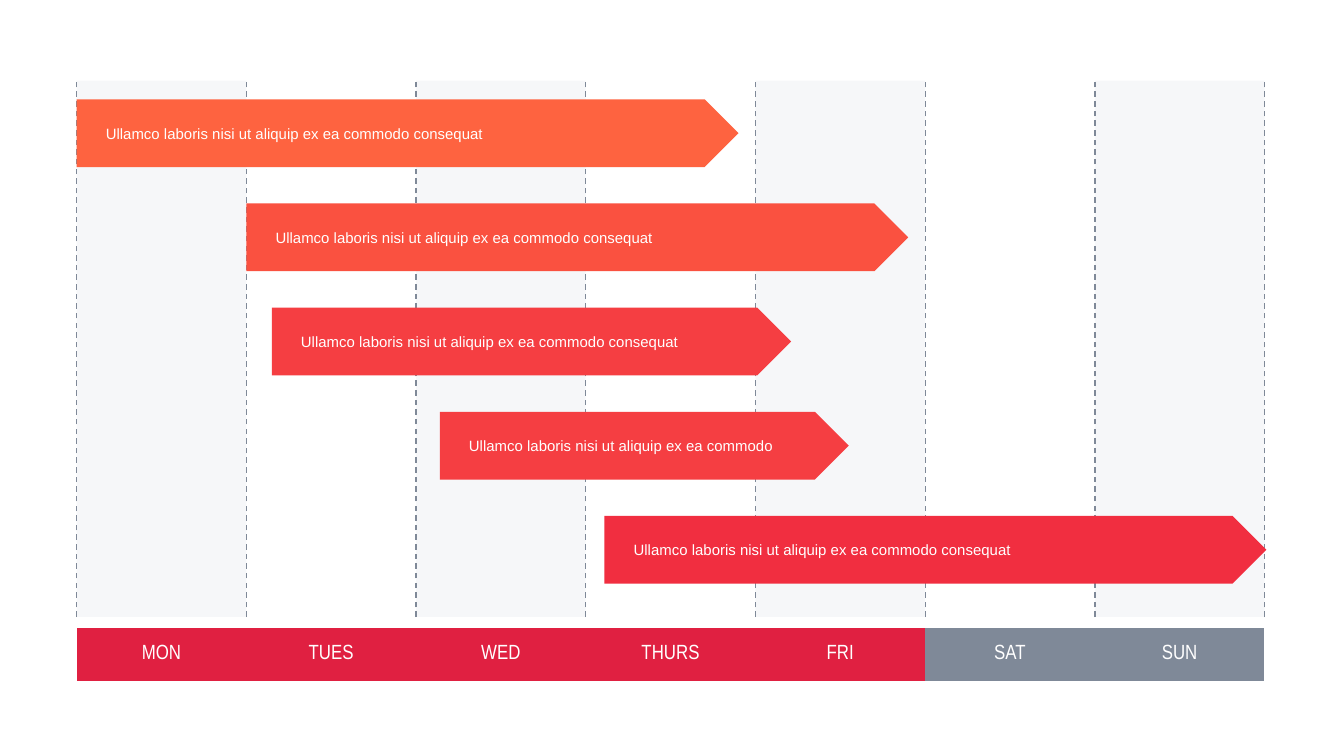
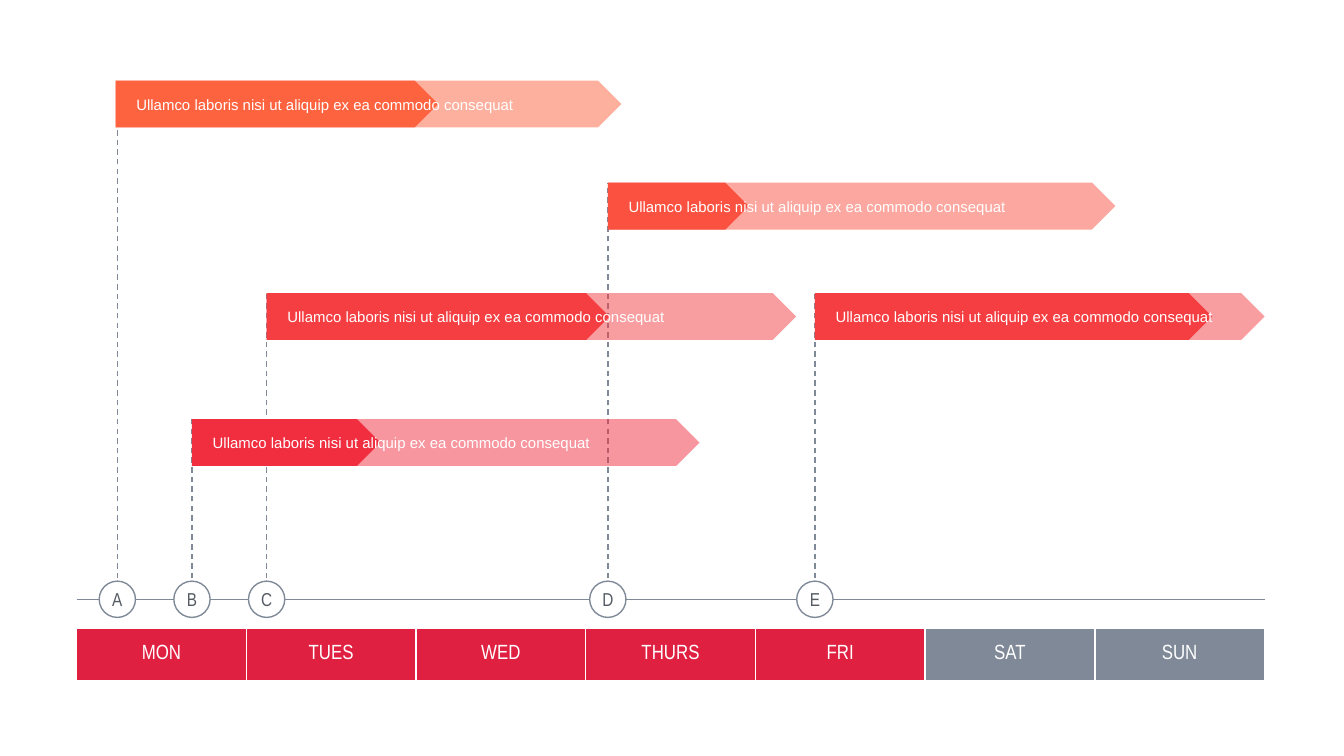
from dataclasses import dataclass

from lxml.etree import SubElement
from pptx import Presentation
from pptx.dml.color import RGBColor as RGB
from pptx.enum.dml import MSO_LINE as Dash
from pptx.enum.shapes import MSO_CONNECTOR as Link, MSO_SHAPE as Shape
from pptx.enum.text import MSO_ANCHOR as Anchor, PP_ALIGN as Align
from pptx.oxml.ns import qn
from pptx.util import Inches, Pt


@dataclass(frozen=True)
class Theme:
    paper: str = "FFFFFF"
    stripe: str = "EEF0F4"
    rule: str = "7F8998"
    letter: str = "545B63"
    workday: str = "E02041"
    weekend: str = "7F8998"
    orange: str = "FE6340"
    coral: str = "FA5140"
    red: str = "F53E42"
    crimson: str = "F12E40"
    body_font: str = "Arial"
    head_font: str = "Arial Narrow"
    task_size: float = 8
    marker_size: float = 10
    day_size: float = 11
    rule_width: float = 0.75
    border_width: float = 1
    plain_table: str = "{2D5ABB26-0587-4C30-8999-92F81FD0307C}"


THEME = Theme()
WIDTH, HEIGHT = 10, 5.625
LEFT, RIGHT, TOP = 0.57, 9.41, 0.6
DAYS = ["MON", "TUES", "WED", "THURS", "FRI", "SAT", "SUN"]
WORKDAYS = 5
COL = (RIGHT - LEFT) / len(DAYS)
ROW = 0.775
PLOT_ROWS = 5.15
HEADER_ROW = 5.26
HEADER_ROWS = 0.5
AXIS_ROW = 4.98
MARKER = 0.27
LABEL_COLS, LABEL_ROWS = 2.46, 0.23
TASK = "Ullamco laboris nisi ut aliquip ex ea commodo consequat"
SHORT_TASK = "Ullamco laboris nisi ut aliquip ex ea commodo"


def cols(count):
    return Inches(count * COL)


def rows(count):
    return Inches(count * ROW)


def x_at(day):
    return Inches(LEFT) + cols(day)


def y_at(row):
    return Inches(TOP) + rows(row)


def write(frame, text, *, size, color, font=THEME.body_font, align=Align.LEFT,
          wrap=True, inset=(0.04, 0.02)):
    frame.word_wrap = wrap
    frame.vertical_anchor = Anchor.MIDDLE
    frame.margin_left = frame.margin_right = Inches(inset[0])
    frame.margin_top = frame.margin_bottom = Inches(inset[1])
    paragraph = frame.paragraphs[0]
    paragraph.alignment = align
    run = paragraph.add_run()
    run.text = text
    run.font.size = Pt(size)
    run.font.name = font
    run.font.color.rgb = RGB.from_string(color)


class WeekChart:
    def __init__(self, deck, theme=THEME):
        self.theme = theme
        self.slide = deck.slides.add_slide(deck.slide_layouts[6])
        self.shapes = self.slide.shapes

    def block(self, kind, left, top, width, height, color, alpha=None,
              outline=None, parent=None):
        owner = self.shapes if parent is None else parent
        block = owner.add_shape(kind, left, top, width, height)
        block.shadow.inherit = False
        block.fill.solid()
        block.fill.fore_color.rgb = RGB.from_string(color)
        if alpha is not None:
            tint = block._element.spPr.find(f"{qn('a:solidFill')}/{qn('a:srgbClr')}")
            SubElement(tint, qn("a:alpha")).set("val", str(alpha * 1000))
        if outline:
            block.line.color.rgb = RGB.from_string(outline)
            block.line.width = Pt(self.theme.rule_width)
        else:
            block.line.fill.background()
        return block

    def rule(self, start, end, dashed=True):
        rule = self.shapes.add_connector(
            Link.STRAIGHT, x_at(start[0]), y_at(start[1]), x_at(end[0]), y_at(end[1]))
        rule.line.color.rgb = RGB.from_string(self.theme.rule)
        rule.line.width = Pt(self.theme.rule_width)
        if dashed:
            rule.line.dash_style = Dash.DASH
        SubElement(rule._element.spPr, qn("a:effectLst"))

    def stripe(self, day):
        self.block(Shape.RECTANGLE, x_at(day), y_at(0), cols(1), rows(PLOT_ROWS),
                   self.theme.stripe, alpha=50)

    def task(self, day, row, span, depth, color, text=TASK, indent=0.09, done=None):
        group = self.shapes.add_group_shape().shapes
        layers = [(span, None)] if done is None else [(span, 50), (done, None)]
        for length, alpha in layers:
            self.block(Shape.PENTAGON, x_at(day), y_at(row), cols(length),
                       rows(depth), color, alpha=alpha, parent=group)
        label = group.add_textbox(
            x_at(day + indent), y_at(row + (depth - LABEL_ROWS) / 2),
            cols(LABEL_COLS), rows(LABEL_ROWS))
        write(label.text_frame, text, size=self.theme.task_size, color=self.theme.paper)

    def marker(self, letter, day):
        size = Inches(MARKER)
        marker = self.block(Shape.OVAL, x_at(day) - size // 2, y_at(AXIS_ROW) - size // 2,
                            size, size, self.theme.paper, outline=self.theme.rule)
        write(marker.text_frame, letter, size=self.theme.marker_size,
              color=self.theme.letter, font=self.theme.head_font,
              align=Align.CENTER, wrap=False, inset=(0, 0))

    def border(self, cell):
        properties = cell._tc.get_or_add_tcPr()
        for side in ("lnL", "lnR", "lnT", "lnB"):
            edge = SubElement(properties, qn(f"a:{side}"))
            edge.set("w", str(Pt(self.theme.border_width)))
            paint = SubElement(edge, qn("a:solidFill"))
            SubElement(paint, qn("a:srgbClr")).set("val", self.theme.paper)

    def week(self, bordered=False):
        table = self.shapes.add_table(
            1, len(DAYS), x_at(0), y_at(HEADER_ROW), cols(len(DAYS)),
            rows(HEADER_ROWS)).table
        table.first_row = table.horz_banding = False
        table._tbl.tblPr.find(qn("a:tableStyleId")).text = self.theme.plain_table
        for index, day in enumerate(DAYS):
            table.columns[index].width = cols(1)
            cell = table.cell(0, index)
            if bordered:
                self.border(cell)
            cell.fill.solid()
            cell.fill.fore_color.rgb = RGB.from_string(
                self.theme.workday if index < WORKDAYS else self.theme.weekend)
            cell.vertical_anchor = Anchor.MIDDLE
            cell.margin_left = cell.margin_right = Inches(0.04)
            cell.margin_top = cell.margin_bottom = Inches(0.02)
            write(cell.text_frame, day, size=self.theme.day_size,
                  color=self.theme.paper, font=self.theme.head_font, align=Align.CENTER)


def build_schedule(deck):
    chart = WeekChart(deck)
    for day in range(0, len(DAYS), 2):
        chart.stripe(day)
    chart.week()
    for day in range(len(DAYS) + 1):
        chart.rule((day, PLOT_ROWS), (day, 0))
    tasks = [
        (0, 3.9, THEME.orange, TASK),
        (1, 3.9, THEME.coral, TASK),
        (1.15, 3.06, THEME.red, TASK),
        (2.14, 2.41, THEME.red, SHORT_TASK),
        (3.11, 3.9, THEME.crimson, TASK),
    ]
    for row, (day, span, color, text) in enumerate(tasks):
        chart.task(day, row + 0.18, span, 0.65, color, text, indent=0.14)


def build_progress(deck):
    chart = WeekChart(deck)
    chart.rule((0, AXIS_ROW), (len(DAYS), AXIS_ROW), dashed=False)
    tasks = [
        ("D", 3.13, 3.13, 0.98, 2.99, 0.83, THEME.coral),
        ("A", 0.24, 0.23, 0, 2.98, 1.9, THEME.orange),
        ("C", 1.12, 1.12, 2.04, 3.12, 2.02, THEME.red),
        ("E", 4.35, 4.35, 2.04, 2.65, 2.34, THEME.red),
        ("B", 0.68, 0.68, 3.25, 2.99, 1.11, THEME.crimson),
    ]
    for letter, day, _, row, *_ in tasks:
        chart.rule((day, PLOT_ROWS), (day, row))
        chart.marker(letter, day)
    for _, _, start, row, span, done, color in tasks:
        chart.task(start, row, span, 0.45, color, done=done)
    chart.week(bordered=True)


def main():
    deck = Presentation()
    deck.slide_width, deck.slide_height = Inches(WIDTH), Inches(HEIGHT)
    build_schedule(deck)
    build_progress(deck)
    deck.save("out.pptx")


if __name__ == "__main__":
    main()
